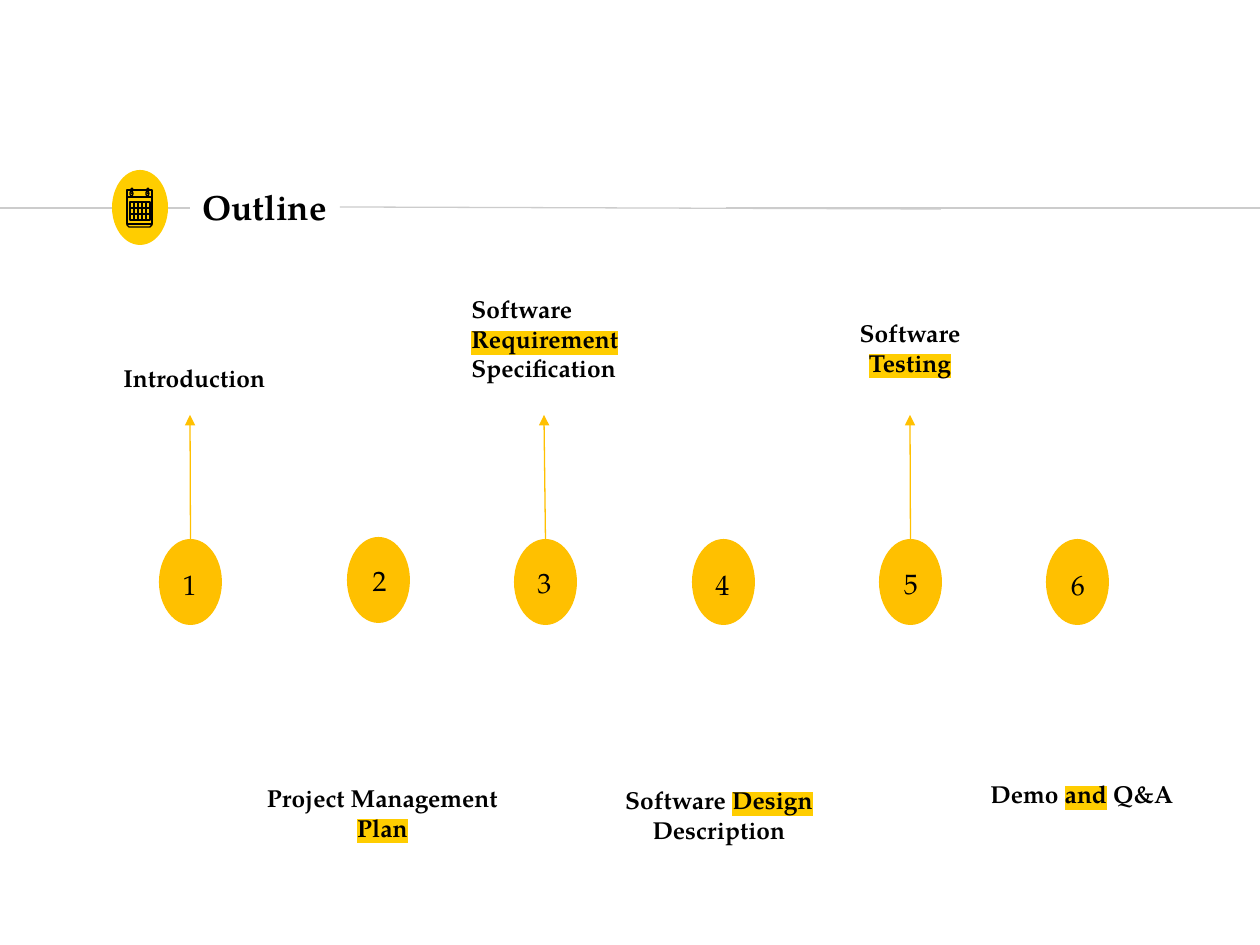
import pptx
import pptx.util
import pptx.dml.color
import pptx.enum.shapes
import pptx.enum.text
import pptx.oxml.ns
from lxml import etree

RGB = pptx.dml.color.RGBColor
BLACK = RGB(0x00, 0x00, 0x00)
GREY = RGB(0xCC, 0xCC, 0xCC)
YELLOW = RGB(0xFF, 0xCD, 0x00)
AMBER = RGB(0xFF, 0xC0, 0x00)
FONT = "TeX Gyre Pagella"
PX = 914400 / 126
LEFT, CENTER = pptx.enum.text.PP_ALIGN.LEFT, pptx.enum.text.PP_ALIGN.CENTER
OVAL = pptx.enum.shapes.MSO_SHAPE.OVAL

# Every second piece of a label is highlighted.
STEPS = [
    dict(number="1", circle=(159, 539), digit=(166, 551, 47, 67), tip=(190, 415),
         label=["Introduction"], box=(111, 338, 200, 80), align=LEFT),
    dict(number="2", circle=(347, 537), digit=(358, 556, 43, 48), digit_fill=AMBER,
         label=["Project Management ", "Plan"], box=(244, 772, 277, 81), align=CENTER),
    dict(number="3", circle=(514, 539), digit=(525, 549, 38, 66), tip=(544, 415),
         label=["Software ", "Requirement ", "Specification"],
         box=(459, 291, 271, 95), align=LEFT),
    dict(number="4", circle=(692, 539), digit=(703, 551, 37, 66),
         label=["Software ", "Design", " Description"],
         box=(593, 774, 252, 81), align=CENTER),
    dict(number="5", circle=(879, 539), digit=(891, 552, 40, 63), tip=(910, 415),
         label=["Software ", "Testing"], box=(810, 307, 200, 81), align=CENTER),
    dict(number="6", circle=(1046, 539), digit=(1058, 551, 40, 66),
         label=["Demo ", "and", " Q&A"], box=(978, 762, 215, 64), align=LEFT),
]
CIRCLE_SIZE = (63, 86)

# Calendar icon
PAGE = (127, 197, 152, 224)
HEADER = [(152, 197), (152, 190), (127, 190), (127, 197)]
BACK_PAGE = [(127, 223), (127, 225), (129, 227), (150, 227), (152, 225), (152, 223)]
GRID = (130, 202, 150, 220)
GRID_COLUMNS, GRID_ROWS = 5, 3
RING_LEFTS = (130, 146)


def emu(*lengths):
    return [round(length * PX) for length in lengths]


def add_text(slide, box, pieces, size, bold=False, align=LEFT, fill=None):
    textbox = slide.shapes.add_textbox(*emu(*box))
    if fill is not None:
        textbox.fill.solid()
        textbox.fill.fore_color.rgb = fill
    frame = textbox.text_frame
    frame.word_wrap = True
    frame.vertical_anchor = pptx.enum.text.MSO_ANCHOR.MIDDLE
    inset = pptx.util.Inches(0.1)
    frame.margin_left = frame.margin_right = inset
    frame.margin_top = frame.margin_bottom = inset
    paragraph = frame.paragraphs[0]
    paragraph.alignment = align
    for index, piece in enumerate(pieces):
        run = paragraph.add_run()
        run.text = piece
        run.font.size = pptx.util.Pt(size)
        run.font.bold = bold
        run.font.color.rgb = BLACK
        if index % 2:
            qn = pptx.oxml.ns.qn
            highlight = etree.SubElement(run.font._element, qn("a:highlight"))
            etree.SubElement(highlight, qn("a:srgbClr"), val=str(YELLOW))
        run.font.name = FONT


def add_oval(slide, box, fill=None, line=None):
    oval = slide.shapes.add_shape(OVAL, *emu(*box))
    oval.shadow.inherit = False
    if fill is None:
        oval.fill.background()
    else:
        oval.fill.solid()
        oval.fill.fore_color.rgb = fill
    if line is None:
        oval.line.fill.background()
    else:
        oval.line.color.rgb = line
        oval.line.width = pptx.util.Pt(0.75)
    return oval


def add_line(slide, start, end, color, arrow=False):
    line = slide.shapes.add_connector(
        pptx.enum.shapes.MSO_CONNECTOR.STRAIGHT, *emu(*start, *end))
    line.line.color.rgb = color
    line.line.width = pptx.util.Pt(0.75)
    qn = pptx.oxml.ns.qn
    if arrow:
        etree.SubElement(line.line._get_or_add_ln(), qn("a:tailEnd"), type="triangle")
    etree.SubElement(line._element.spPr, qn("a:effectLst"))
    return line


def add_outline(slide, points, close=False):
    builder = slide.shapes.build_freeform(*points[0], scale=PX)
    builder.add_line_segments(points[1:], close=close)
    outline = builder.convert_to_shape()
    outline.shadow.inherit = False
    outline.fill.background()
    outline.line.color.rgb = BLACK
    outline.line.width = pptx.util.Pt(0.75)


def corners(left, top, right, bottom):
    return [(left, top), (right, top), (right, bottom), (left, bottom)]


def add_calendar(slide):
    add_outline(slide, HEADER)
    add_outline(slide, BACK_PAGE)
    add_outline(slide, corners(*PAGE), close=True)
    for left in RING_LEFTS:
        add_oval(slide, (left, 191, 3, 5), line=BLACK)
        add_outline(slide, [(left + 2, 194), (left + 1, 193), (left + 1, 189),
                            (left + 2, 188), (left + 3, 189)])
    left, top, right, bottom = GRID
    add_outline(slide, corners(*GRID), close=True)
    for row in range(1, GRID_ROWS):
        y = top + row * (bottom - top) / GRID_ROWS
        add_line(slide, (left, y), (right, y), BLACK)
    for column in range(1, GRID_COLUMNS):
        x = left + column * (right - left) / GRID_COLUMNS
        add_line(slide, (x, top), (x, bottom), BLACK)


def main():
    deck = pptx.Presentation()
    deck.slide_width, deck.slide_height = emu(1260, 945)
    slide = deck.slides.add_slide(deck.slide_layouts[6])

    add_line(slide, (0, 208), (190, 208), GREY)
    add_oval(slide, (112, 170, 56, 75), fill=YELLOW)
    add_line(slide, (726, 208), (1260, 208), GREY)
    add_text(slide, (190, 166, 200, 80), ["Outline"], size=20, bold=True)
    add_line(slide, (340, 207), (941, 209), GREY)

    for step in STEPS:
        circle = add_oval(slide, (*step["circle"], *CIRCLE_SIZE), fill=AMBER)
        add_text(slide, step["digit"], [step["number"]], size=16, align=CENTER,
                 fill=step.get("digit_fill"))
        if "tip" in step:
            arrow = add_line(slide, step["circle"], step["tip"], AMBER, arrow=True)
            arrow.begin_connect(circle, 0)
        add_text(slide, step["box"], step["label"], size=14, bold=True,
                 align=step["align"])

    add_calendar(slide)
    deck.save("out.pptx")


if __name__ == "__main__":
    main()
